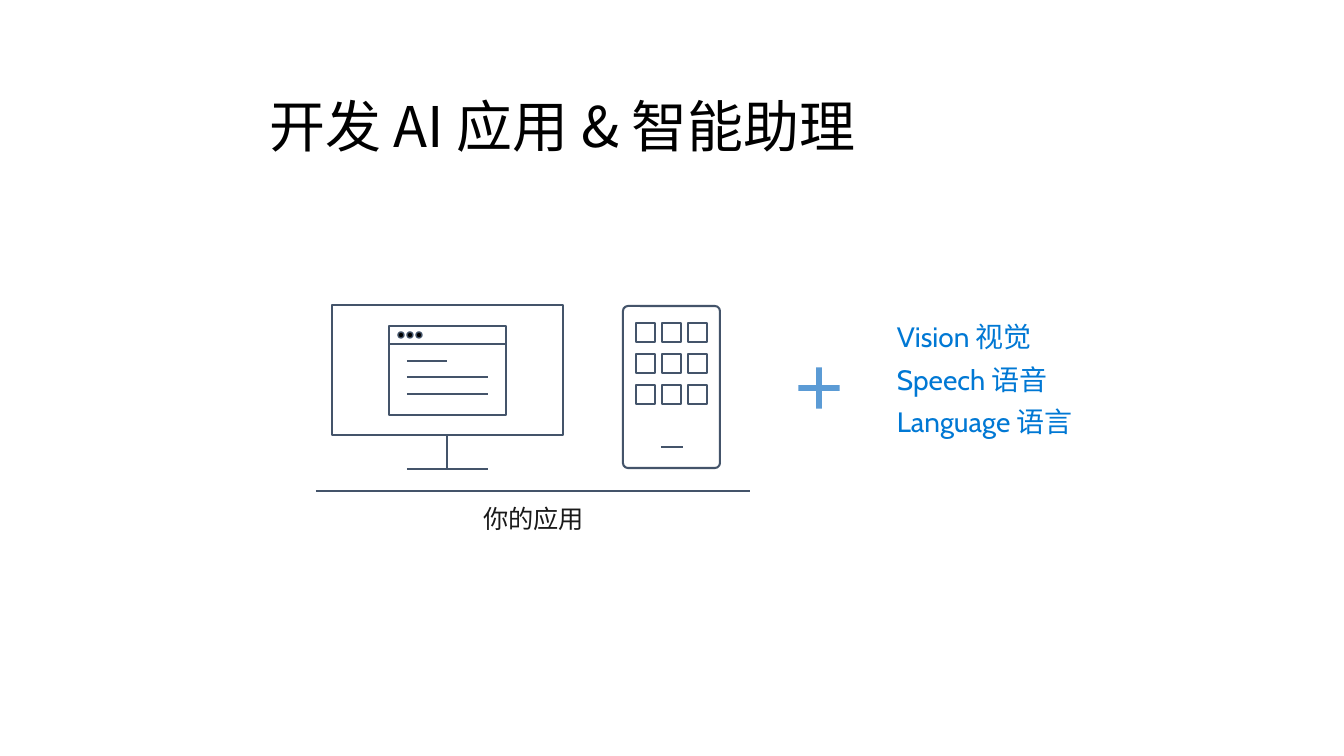
from lxml.etree import SubElement
from pptx import Presentation
from pptx.dml.color import RGBColor
from pptx.enum.shapes import MSO_CONNECTOR, MSO_SHAPE
from pptx.enum.text import MSO_ANCHOR, PP_ALIGN
from pptx.oxml.ns import qn
from pptx.util import Pt

# Content
TITLE = "开发 AI 应用 & 智能助理"
CAPTION = "你的应用"
SERVICES = ["Vision 视觉", "Speech 语音", "Language 语言"]

COLORS = {
    "title": "000000",
    "caption": "1A1A1A",
    "service": "0078D4",
    "outline": "44546A",
    "plus": "5B9BD5",
    "dot": "000000",
}
LATIN_FONT, CHINESE_FONT = "Cabin", "Noto Sans CJK SC"

# Geometry in px: boxes are left, top, width, height; lines are x1, y1, x2, y2
EMU_PER_PX = 914400 / 98.8
SLIDE_SIZE = (1344, 756)
TITLE_BOX = (77, 80, 971, 98)
SERVICES_BOX = (889, 317, 225, 126)
CAPTION_BOX = (447, 503, 173, 36)
PLUS_BOX = (791, 360, 56, 56)
SCREEN_BOX = (332, 305, 231, 130)
STAND_LINES = [(447, 435, 447, 469), (407, 469, 488, 469)]
WINDOW_BOX = (389, 326, 117, 89)
WINDOW_LINES = [(389, 344, 506, 344), (407, 361, 447, 361),
                (407, 377, 488, 377), (407, 394, 488, 394)]
DOT_ORIGIN, DOT_SIZE, DOT_STEP = (398, 332), 6, 9
PHONE_BOX, PHONE_RADIUS = (623, 306, 97, 162), 5
HOME_LINE = (661, 447, 683, 447)
ICON_ORIGIN, ICON_SIZE, ICON_STEPS = (636, 323), 19, (26, 31)
BASE_LINE = (316, 491, 750, 491)


def px(*values):
    return [round(value * EMU_PER_PX) for value in values]


def color(name):
    return RGBColor.from_string(COLORS[name])


def add_figure(shapes, kind, box, fill=None, outline_width=1.5):
    shape = shapes.add_shape(kind, *px(*box))
    shape.shadow.inherit = False
    if fill:
        shape.fill.solid()
        shape.fill.fore_color.rgb = color(fill)
    else:
        shape.fill.background()
    if outline_width:
        shape.line.color.rgb = color("outline")
        shape.line.width = Pt(outline_width)
    else:
        shape.line.fill.background()
    return shape


def add_line(shapes, ends):
    line = shapes.add_connector(MSO_CONNECTOR.STRAIGHT, *px(*ends))
    line.line.color.rgb = color("outline")
    line.line.width = Pt(1.5)
    SubElement(line._element.spPr, qn("a:effectLst"))


def add_text(shapes, box, lines, size, color_name, alignment, anchor, font=LATIN_FONT):
    text_frame = shapes.add_textbox(*px(*box)).text_frame
    text_frame.word_wrap = True
    text_frame.vertical_anchor = anchor
    text_frame.margin_left = text_frame.margin_right = px(8)[0]
    text_frame.margin_top = text_frame.margin_bottom = px(4)[0]
    text_frame.text = "\n".join(lines)
    for index, paragraph in enumerate(text_frame.paragraphs):
        paragraph.alignment = alignment
        paragraph.line_spacing = 0.9
        paragraph.space_before = Pt(9.2 if index else 0)
        for run in paragraph.runs:
            run.font.size = Pt(size)
            run.font.name = font
            run.font.color.rgb = color(color_name)
            east_asian = SubElement(run._r.get_or_add_rPr(), qn("a:ea"))
            east_asian.set("typeface", CHINESE_FONT)


presentation = Presentation()
presentation.slide_width, presentation.slide_height = px(*SLIDE_SIZE)
slide = presentation.slides.add_slide(presentation.slide_layouts[6])
shapes = slide.shapes

# AI services and plus sign
add_text(shapes, SERVICES_BOX, SERVICES, 20.4, "service", PP_ALIGN.LEFT, MSO_ANCHOR.BOTTOM)
plus = add_figure(shapes, MSO_SHAPE.MATH_PLUS, PLUS_BOX, "plus", outline_width=0)
plus.adjustments[0] = 0.1

# Monitor
monitor = shapes.add_group_shape().shapes
add_figure(monitor, MSO_SHAPE.RECTANGLE, SCREEN_BOX)
for ends in STAND_LINES:
    add_line(monitor, ends)

# Application window
window = shapes.add_group_shape().shapes
add_figure(window, MSO_SHAPE.RECTANGLE, WINDOW_BOX)
for ends in WINDOW_LINES:
    add_line(window, ends)
for index in range(3):
    dot_box = (DOT_ORIGIN[0] + index * DOT_STEP, DOT_ORIGIN[1], DOT_SIZE, DOT_SIZE)
    add_figure(window, MSO_SHAPE.OVAL, dot_box, "dot", outline_width=1)

# Phone with a 3 by 3 grid of icons
phone = shapes.add_group_shape().shapes
body = add_figure(phone, MSO_SHAPE.ROUNDED_RECTANGLE, PHONE_BOX)
body.adjustments[0] = PHONE_RADIUS / PHONE_BOX[2]
add_line(phone, HOME_LINE)
for row in range(3):
    for column in range(3):
        left = ICON_ORIGIN[0] + column * ICON_STEPS[0]
        top = ICON_ORIGIN[1] + row * ICON_STEPS[1]
        add_figure(phone, MSO_SHAPE.RECTANGLE, (left, top, ICON_SIZE, ICON_SIZE))

# Base line, caption and title
add_line(shapes, BASE_LINE)
add_text(shapes, CAPTION_BOX, [CAPTION], 18.4, "caption", PP_ALIGN.CENTER, MSO_ANCHOR.TOP)
add_text(shapes, TITLE_BOX, [TITLE], 40.8, "title", PP_ALIGN.CENTER, MSO_ANCHOR.MIDDLE,
         font=CHINESE_FONT)

presentation.save("out.pptx")
